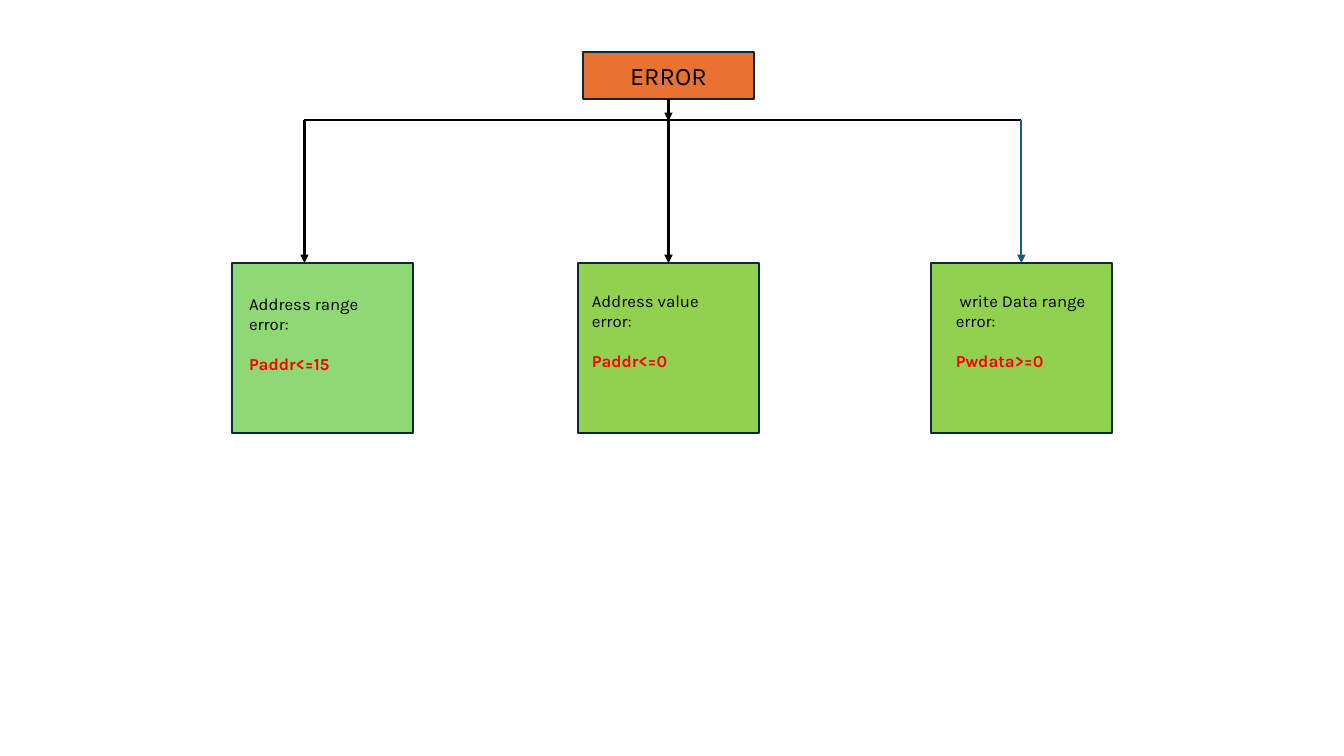
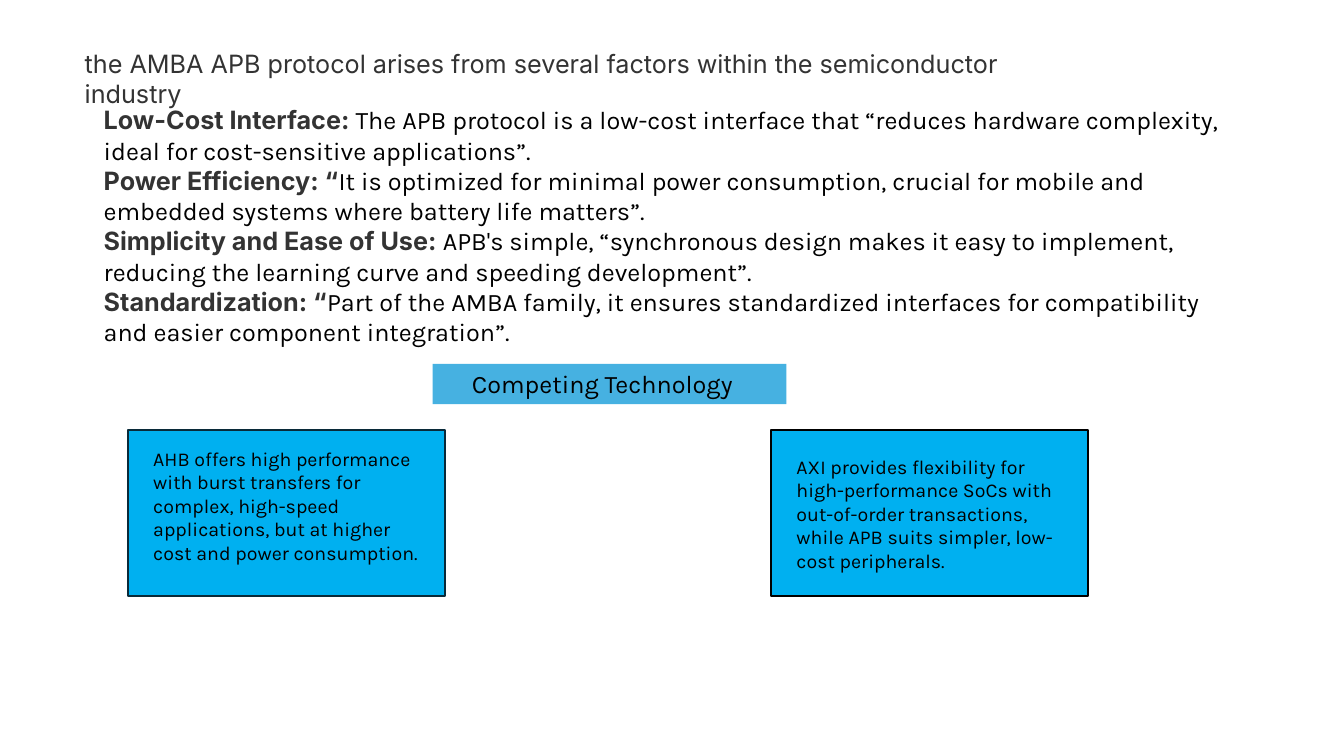
from dataclasses import dataclass

from lxml.etree import SubElement
from pptx import Presentation
from pptx.dml.color import RGBColor as RGB
from pptx.enum.shapes import MSO_CONNECTOR as CONNECTOR, MSO_SHAPE as SHAPE
from pptx.enum.text import MSO_ANCHOR as ANCHOR, MSO_AUTO_SIZE as AUTO_SIZE, PP_ALIGN as ALIGN
from pptx.oxml.ns import qn
from pptx.util import Inches, Pt


@dataclass(frozen=True)
class Theme:
    black: RGB = RGB.from_string("000000")
    grey: RGB = RGB.from_string("333333")
    red: RGB = RGB.from_string("FF0000")
    navy: RGB = RGB.from_string("092A39")
    teal: RGB = RGB.from_string("156082")
    orange: RGB = RGB.from_string("E97132")
    mint: RGB = RGB.from_string("8ED973")
    green: RGB = RGB.from_string("92D050")
    blue: RGB = RGB.from_string("00B0F0")
    sky: RGB = RGB.from_string("46B1E1")
    heading_font: str = "Inter"
    body_font: str = "Karla"
    large: Pt = Pt(18)
    medium: Pt = Pt(14)
    small: Pt = Pt(12)
    stroke: Pt = Pt(1.5)


theme = Theme()


def style_box(box, fill=None, line=None, margins=(0.1, 0.05, 0.1, 0.05), anchor=ANCHOR.TOP):
    """Set fill, outline and text area; margins are left, top, right, bottom."""
    if fill is None:
        box.fill.background()
    else:
        box.fill.solid()
        box.fill.fore_color.rgb = fill
    if line is None:
        box.line.fill.background()
    else:
        box.line.color.rgb = line
        box.line.width = theme.stroke
    box.shadow.inherit = False
    frame = box.text_frame
    frame.word_wrap = True
    frame.auto_size = AUTO_SIZE.NONE
    frame.vertical_anchor = anchor
    frame.margin_left, frame.margin_top, frame.margin_right, frame.margin_bottom = map(Inches, margins)
    return frame


def write(para, text, size, color=theme.black, font=theme.body_font, bold=False, align=ALIGN.LEFT):
    para.text = text
    para.alignment = align
    para.font.name, para.font.size, para.font.bold = font, size, bold
    para.font.color.rgb = color


deck = Presentation()
deck.slide_width, deck.slide_height = Inches(13.33), Inches(7.5)
title_only = deck.slide_layouts[5]

# Slide 1: error tree
page = deck.slides.add_slide(title_only)
root = page.shapes.title
root.left, root.top, root.width, root.height = map(Inches, (5.78, 0.52, 1.7, 0.46))
frame = style_box(root, theme.orange, theme.navy, anchor=ANCHOR.MIDDLE)
write(frame.paragraphs[0], "ERROR", theme.large, align=ALIGN.CENTER)

# Error cards: left, fill, text inset from left and top, label, condition
card_width, card_top, card_height = 1.8, 2.61, 1.69
text_width = 1.46
errors = [
    (2.3, theme.mint, 0.17, 0.3, "Address range error:", "Paddr<=15"),
    (5.73, theme.green, 0.14, 0.27, "Address value error:", "Paddr<=0"),
    (9.23, theme.green, 0.25, 0.27, " write Data range error:", "Pwdata>=0"),
]
cards = []
for left, fill, inset, drop, label, condition in errors:
    card = page.shapes.add_shape(
        SHAPE.RECTANGLE, Inches(left), Inches(card_top), Inches(card_width), Inches(card_height))
    frame = style_box(card, fill, theme.navy, (inset, drop, card_width - inset - text_width, 0.05))
    write(frame.paragraphs[0], label, theme.small)
    para = frame.add_paragraph()
    write(para, condition, theme.small, theme.red, bold=True)
    para.space_before = Pt(14.4)
    cards.append(card)

# Connectors: start, end, colour, arrowhead, shape at start, shape at end
bus_y, left_x, middle_x, right_x = 1.19, 3.02, 6.63, 10.13
links = [
    ((left_x, bus_y), (right_x, bus_y), theme.black, False, None, None),
    ((left_x, bus_y), (left_x, card_top), theme.black, True, None, None),
    ((middle_x, bus_y), (middle_x, card_top), theme.black, True, None, cards[1]),
    ((right_x, bus_y), (right_x, card_top), theme.teal, True, None, cards[2]),
    ((middle_x, 0.98), (middle_x, 1.2), theme.black, True, root, None),
]
for start, end, color, arrow, source, target in links:
    link = page.shapes.add_connector(CONNECTOR.STRAIGHT, *map(Inches, start + end))
    if source is not None:
        link.begin_connect(source, 2)
    if target is not None:
        link.end_connect(target, 0)
    link.line.color.rgb = color
    link.line.width = theme.stroke
    if arrow:
        SubElement(link.line._get_or_add_ln(), qn("a:tailEnd"), type="triangle")
    SubElement(link._element.spPr, qn("a:effectLst"))

# Slide 2: market factors
page = deck.slides.add_slide(title_only)
title = page.shapes.title
title.left, title.top, title.width, title.height = map(Inches, (0.74, 0.43, 10.06, 0.7))
frame = style_box(title)
write(frame.paragraphs[0],
      "the AMBA APB protocol arises from several factors within the semiconductor industry",
      theme.large, theme.grey, theme.heading_font)

# Factors: bold lead-in and explanation
factors = [
    ("Low-Cost Interface: ",
     "The APB protocol is a low-cost interface that “reduces hardware complexity, "
     "ideal for cost-sensitive applications”."),
    ("Power Efficiency: “",
     "It is optimized for minimal power consumption, crucial for mobile and "
     "embedded systems where battery life matters”."),
    ("Simplicity and Ease of Use: ",
     "APB's simple, “synchronous design makes it easy to implement, "
     "reducing the learning curve and speeding development”."),
    ("Standardization: “",
     "Part of the AMBA family, it ensures standardized interfaces for compatibility "
     "and easier component integration”."),
]
body = page.shapes.add_textbox(*map(Inches, (0.93, 0.99, 11.42, 2.52)))
frame = style_box(body)
for number, (lead, detail) in enumerate(factors):
    para = frame.add_paragraph() if number else frame.paragraphs[0]
    para.font.size = theme.large
    for text, font, color, bold in [
        (lead, theme.heading_font, theme.grey, True),
        (detail, theme.body_font, theme.black, False),
    ]:
        span = para.add_run()
        span.text = text
        span.font.name, span.font.bold = font, bold
        span.font.color.rgb = color

# Competing technologies: left, outline, text inset from top, description
rivals = [
    (1.27, theme.navy, 0.16,
     "AHB offers high performance with burst transfers for complex, high-speed "
     "applications, but at higher cost and power consumption."),
    (7.65, theme.black, 0.24,
     "AXI provides flexibility for high-performance SoCs with out-of-order "
     "transactions, while APB suits simpler, low-cost peripherals."),
]
for left, line, drop, text in rivals:
    card = page.shapes.add_shape(
        SHAPE.RECTANGLE, Inches(left), Inches(4.27), Inches(3.14), Inches(1.64))
    frame = style_box(card, theme.blue, line, (0.25, drop, 0.22, 0.05))
    write(frame.paragraphs[0], text, theme.medium)

# Band above the technologies
band = page.shapes.add_shape(SHAPE.RECTANGLE, *map(Inches, (4.29, 3.61, 3.51, 0.4)))
frame = style_box(band, theme.sky, margins=(0.39, 0.05, 0.1, 0.05))
write(frame.paragraphs[0], "Competing Technology", theme.large)

deck.save("out.pptx")
